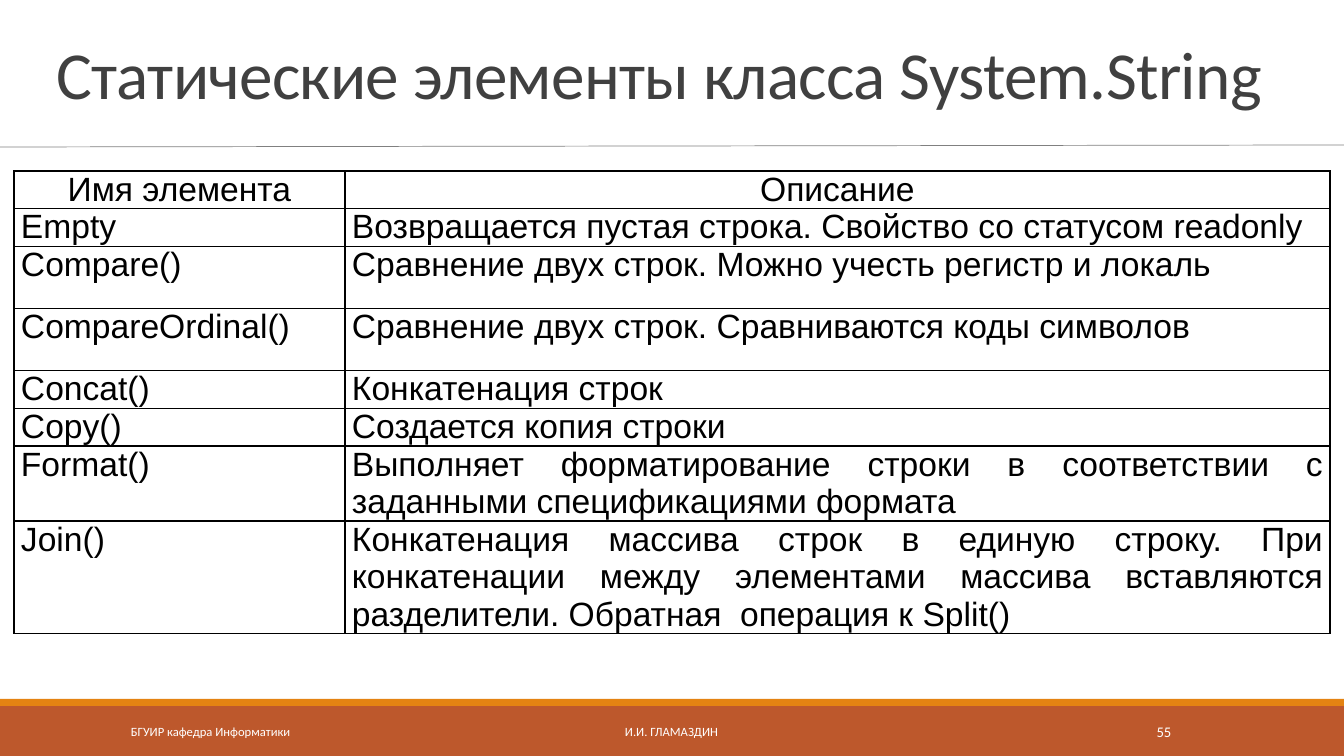
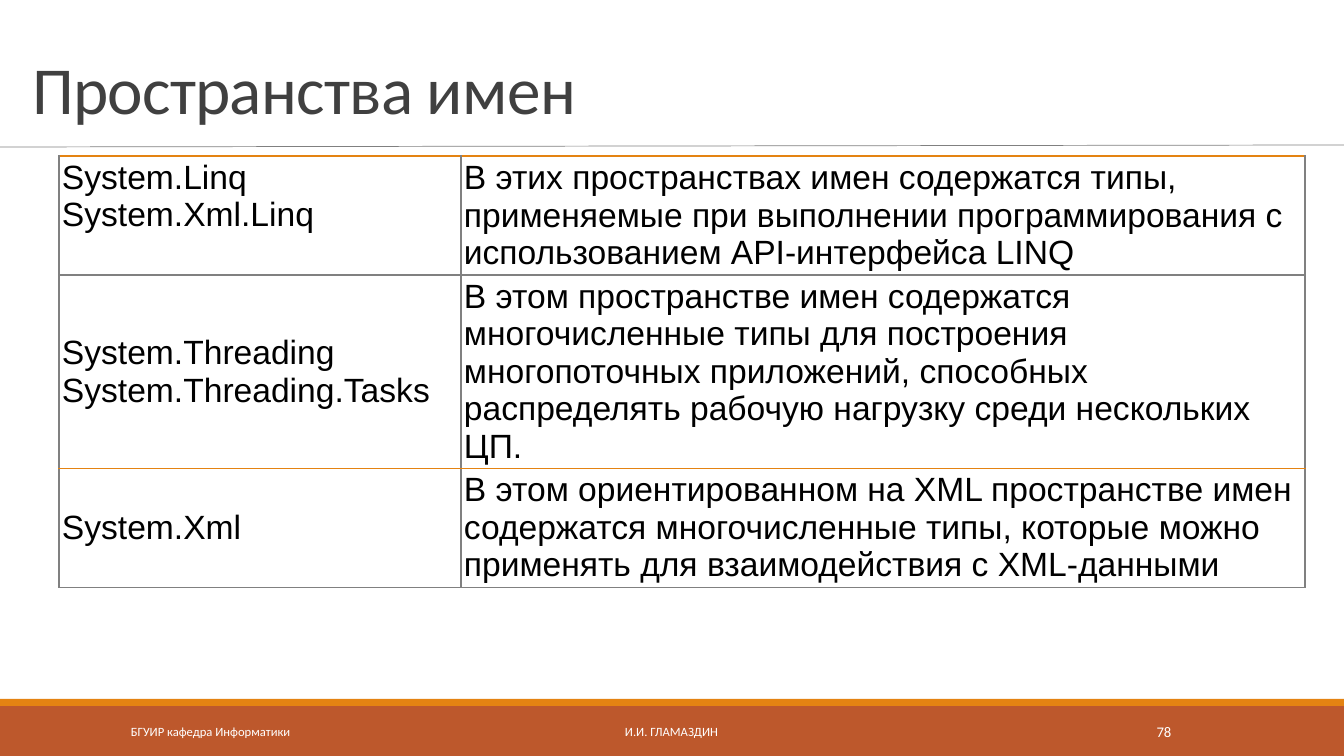
from dataclasses import dataclass

from lxml import etree
from pptx import Presentation
from pptx import util as u
from pptx.dml.color import RGBColor
from pptx.enum import shapes, text
from pptx.oxml.ns import qn

EMU_PER_PX = 914400 / 100.8
SLIDE_WIDTH, SLIDE_HEIGHT = 1344, 756
ALIGN, ANCHOR = text.PP_ALIGN, text.MSO_ANCHOR


@dataclass(frozen=True)
class Theme:
    background: str = "FFFFFF"
    band: str = "BD582C"
    accent: str = "E48312"
    rule: str = "808080"
    title: str = "404040"
    body: str = "000000"
    footer: str = "FFFFFF"
    title_font: str = "Calibri"
    body_font: str = "Arial"
    title_size: float = 48
    body_size: float = 24
    footer_size: float = 9
    number_size: float = 10.5


THEME = Theme()


@dataclass(frozen=True)
class Box:
    left: int
    top: int
    width: int
    height: int

    def emu(self) -> tuple:
        return tuple(px(side) for side in (self.left, self.top, self.width, self.height))


@dataclass(frozen=True)
class Band:
    box: Box
    color: str


@dataclass(frozen=True)
class FooterItem:
    box: Box
    content: str
    size: float
    alignment: ALIGN


@dataclass(frozen=True)
class TableSpec:
    left: int
    top: int
    columns: tuple
    row_heights: tuple
    rows: tuple
    side_margin: int
    end_margin: int
    anchor: ANCHOR
    side_color: str
    row_line_colors: tuple
    description_alignment: ALIGN
    has_header: bool = False
    top_cells: tuple = ()


@dataclass(frozen=True)
class SlideSpec:
    title: str
    title_box: Box
    number: str
    table: TableSpec


BANDS = (
    Band(Box(0, 706, SLIDE_WIDTH, 50), THEME.band),
    Band(Box(0, 699, SLIDE_WIDTH, 7), THEME.accent),
)

STRING_TABLE = TableSpec(
    left=14, top=171, columns=(331, 985),
    row_heights=(37, 38, 62, 62, 38, 37, 75, 113),
    rows=(
        ("Имя элемента", "Описание"),
        ("Empty", "Возвращается пустая строка. Свойство со статусом readonly"),
        ("Compare()", "Сравнение двух строк. Можно учесть регистр и локаль"),
        ("CompareOrdinal()", "Сравнение двух строк. Сравниваются коды символов"),
        ("Concat()", "Конкатенация строк"),
        ("Copy()", "Создается копия строки"),
        ("Format()", "Выполняет форматирование строки в соответствии с заданными "
                     "спецификациями формата"),
        ("Join()", "Конкатенация массива строк в единую строку. При конкатенации между "
                   "элементами массива вставляются разделители. Обратная  операция к Split()"),
    ),
    side_margin=7, end_margin=0, anchor=ANCHOR.TOP,
    side_color=THEME.body, row_line_colors=(THEME.body,) * 9,
    description_alignment=ALIGN.JUSTIFY, has_header=True,
)

NAMESPACE_TABLE = TableSpec(
    left=59, top=156, columns=(402, 844),
    row_heights=(119, 193, 119),
    rows=(
        ("System.Linq\nSystem.Xml.Linq",
         "В этих пространствах имен содержатся типы, применяемые при выполнении "
         "программирования с использованием API-интерфейса LINQ"),
        ("System.Threading\nSystem.Threading.Tasks",
         "В этом пространстве имен содержатся многочисленные типы для построения "
         "многопоточных приложений, способных распределять рабочую нагрузку среди "
         "нескольких ЦП."),
        ("System.Xml",
         "В этом ориентированном на XML пространстве имен содержатся многочисленные "
         "типы, которые можно применять для взаимодействия с XML-данными"),
    ),
    side_margin=3, end_margin=3, anchor=ANCHOR.MIDDLE,
    side_color=THEME.rule,
    row_line_colors=(THEME.accent, THEME.rule, THEME.accent, THEME.rule),
    description_alignment=ALIGN.LEFT, top_cells=((0, 0),),
)

SLIDES = (
    SlideSpec("Статические элементы класса System.String",
              Box(46, 31, 1269, 87), "55", STRING_TABLE),
    SlideSpec("Пространства имен", Box(22, 31, 1299, 102), "78", NAMESPACE_TABLE),
)


def px(length: int) -> u.Emu:
    return u.Emu(round(length * EMU_PER_PX))


def format_text(frame, font_name: str, size: float, color: str, alignment: ALIGN) -> None:
    for paragraph in frame.paragraphs:
        paragraph.alignment = alignment
        for run in paragraph.runs:
            run.font.name = font_name
            run.font.size = u.Pt(size)
            run.font.color.rgb = RGBColor.from_string(color)


def draw_bands(slide) -> None:
    for band in BANDS:
        shape = slide.shapes.add_shape(shapes.MSO_SHAPE.RECTANGLE, *band.box.emu())
        shape.shadow.inherit = False
        shape.fill.solid()
        shape.fill.fore_color.rgb = RGBColor.from_string(band.color)
        shape.line.fill.background()


def draw_title_rule(slide) -> None:
    rule = slide.shapes.add_connector(
        shapes.MSO_CONNECTOR.STRAIGHT, px(0), px(147), px(SLIDE_WIDTH), px(145))
    rule.line.color.rgb = RGBColor.from_string(THEME.rule)
    rule.line.width = u.Pt(0.5)
    etree.SubElement(rule.element.spPr, qn("a:effectLst"))


def draw_title(slide, spec: SlideSpec) -> None:
    title = slide.shapes.title
    title.left, title.top, title.width, title.height = spec.title_box.emu()
    frame = title.text_frame
    frame.text = spec.title
    frame.word_wrap = True
    frame.auto_size = text.MSO_AUTO_SIZE.NONE
    frame.vertical_anchor = ANCHOR.BOTTOM
    format_text(frame, THEME.title_font, THEME.title_size, THEME.title, ALIGN.LEFT)
    paragraph = frame.paragraphs[0]
    paragraph.line_spacing = 0.85
    paragraph.runs[0].font._element.set("spc", "-50")


def draw_footer(slide, number: str) -> None:
    items = (
        FooterItem(Box(121, 712, 272, 40), "БГУИР кафедра Информатики",
                   THEME.footer_size, ALIGN.LEFT),
        FooterItem(Box(406, 712, 531, 40), "И.И. ГЛАМАЗДИН",
                   THEME.footer_size, ALIGN.CENTER),
        FooterItem(Box(1092, 712, 144, 40), number, THEME.number_size, ALIGN.CENTER),
    )
    for item in items:
        frame = slide.shapes.add_textbox(*item.box.emu()).text_frame
        frame.text = item.content
        frame.word_wrap = True
        frame.vertical_anchor = ANCHOR.MIDDLE
        format_text(frame, THEME.title_font, item.size, THEME.footer, item.alignment)


def set_borders(cell, side_color: str, top_color: str, bottom_color: str) -> None:
    properties = cell._tc.get_or_add_tcPr()
    edges = (("lnL", side_color), ("lnR", side_color),
             ("lnT", top_color), ("lnB", bottom_color))
    for position, (tag, color) in enumerate(edges):
        line = etree.Element(qn(f"a:{tag}"), w=str(u.Pt(1)))
        fill = etree.SubElement(line, qn("a:solidFill"))
        etree.SubElement(fill, qn("a:srgbClr"), val=color)
        properties.insert(position, line)


def draw_table(slide, spec: TableSpec) -> None:
    box = Box(spec.left, spec.top, sum(spec.columns), sum(spec.row_heights))
    table = slide.shapes.add_table(len(spec.rows), len(spec.columns), *box.emu()).table
    table.first_row = False
    table.horz_banding = False
    for column, width in zip(table.columns, spec.columns):
        column.width = px(width)
    for row_index, contents in enumerate(spec.rows):
        table.rows[row_index].height = px(spec.row_heights[row_index])
        for column_index, content in enumerate(contents):
            cell = table.cell(row_index, column_index)
            cell.text = content
            cell.fill.background()
            cell.margin_left = cell.margin_right = px(spec.side_margin)
            cell.margin_top = cell.margin_bottom = px(spec.end_margin)
            at_top = (row_index, column_index) in spec.top_cells
            cell.vertical_anchor = ANCHOR.TOP if at_top else spec.anchor
            if spec.has_header and row_index == 0:
                alignment = ALIGN.CENTER
            else:
                alignment = spec.description_alignment if column_index else ALIGN.LEFT
            format_text(cell.text_frame, THEME.body_font, THEME.body_size,
                        THEME.body, alignment)
            set_borders(cell, spec.side_color, *spec.row_line_colors[row_index:row_index + 2])


def main() -> None:
    presentation = Presentation()
    presentation.slide_width = px(SLIDE_WIDTH)
    presentation.slide_height = px(SLIDE_HEIGHT)
    background = presentation.slide_master.background.fill
    background.solid()
    background.fore_color.rgb = RGBColor.from_string(THEME.background)
    title_only = presentation.slide_layouts.get_by_name("Title Only")
    for spec in SLIDES:
        slide = presentation.slides.add_slide(title_only)
        draw_bands(slide)
        draw_title_rule(slide)
        draw_title(slide, spec)
        draw_table(slide, spec.table)
        draw_footer(slide, spec.number)
    presentation.save("out.pptx")


if __name__ == "__main__":
    main()
